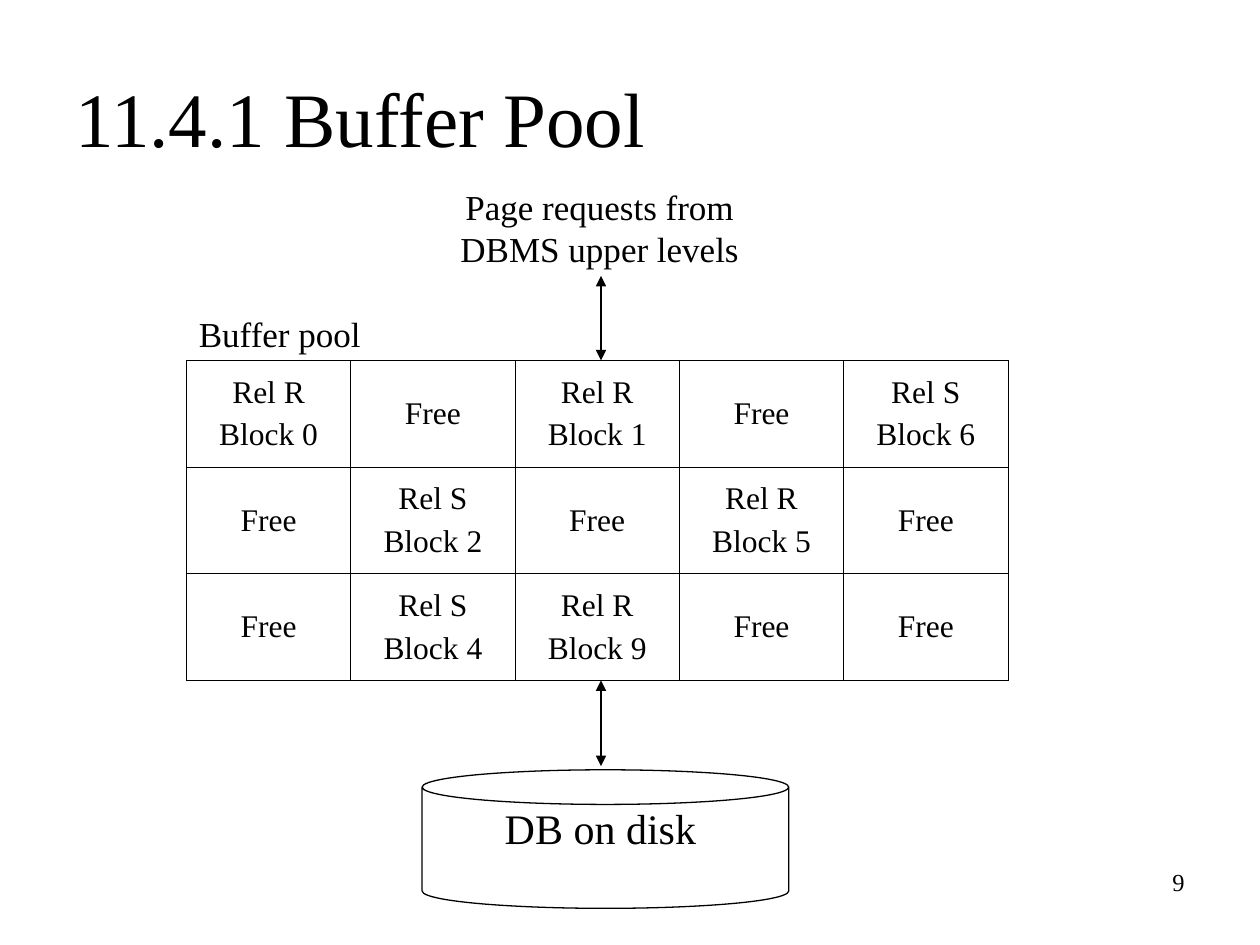
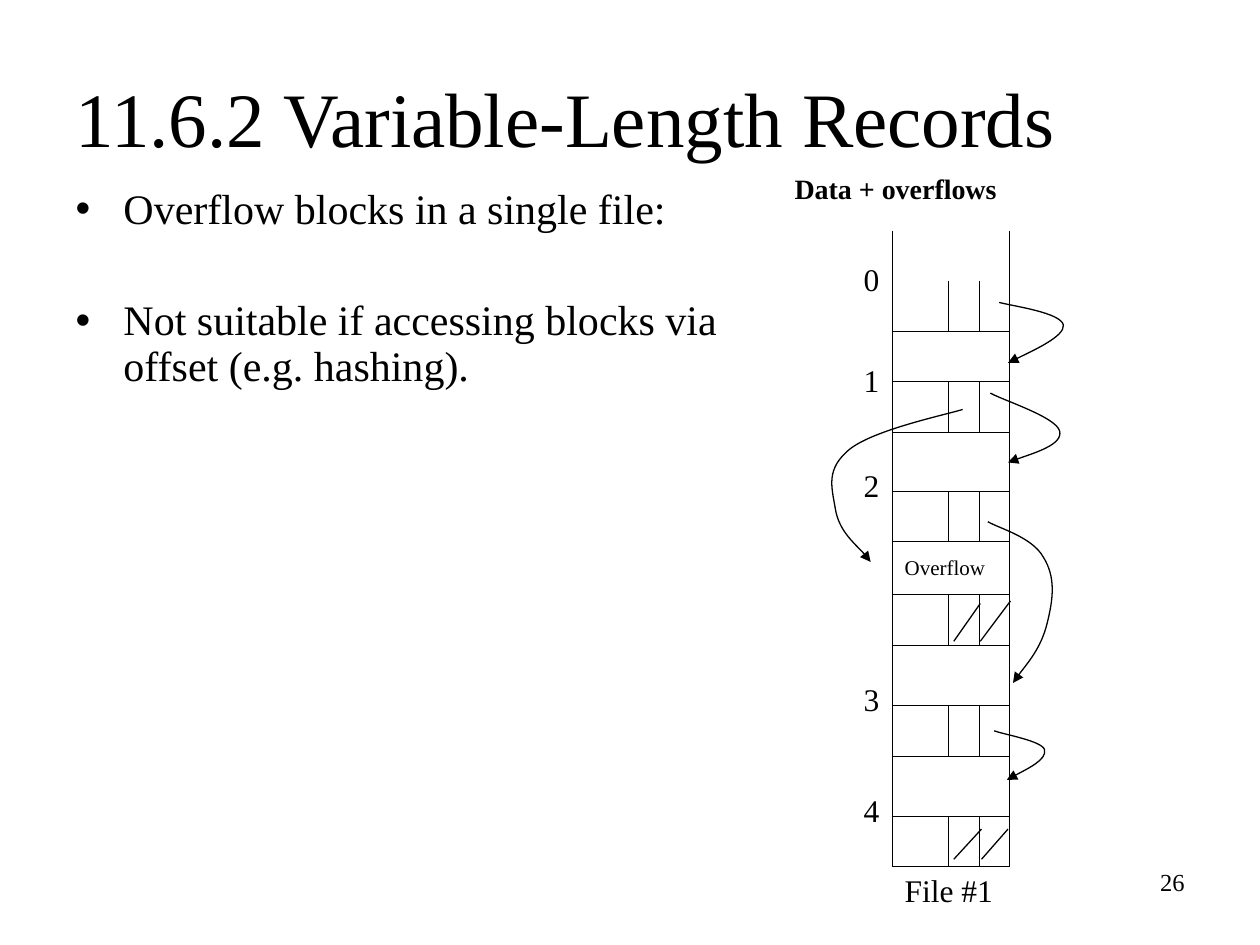
from collections import namedtuple
from lxml import etree
from pptx import Presentation
from pptx.dml.color import RGBColor
from pptx.enum.shapes import MSO_CONNECTOR, MSO_SHAPE
from pptx.enum.text import MSO_ANCHOR, MSO_AUTO_SIZE, PP_ALIGN
from pptx.oxml.ns import qn
from pptx.util import Inches, Pt

LEFT, CENTER, RIGHT = PP_ALIGN.LEFT, PP_ALIGN.CENTER, PP_ALIGN.RIGHT
MIDDLE, TOP = MSO_ANCHOR.MIDDLE, MSO_ANCHOR.TOP
NO_FIT = MSO_AUTO_SIZE.NONE
STRAIGHT = MSO_CONNECTOR.STRAIGHT
CAN = MSO_SHAPE.CAN

WIDTH, HEIGHT = Inches(10), Inches(7.5)
COL, ROW = WIDTH / 100, HEIGHT / 75
INK = "000000"
FONT = "Times New Roman"
PLAIN = "{2D5ABB26-0587-4C30-8999-92F81FD0307C}"

Box = namedtuple("Box", "x y w h")
TITLE = Box(5, 3, 90, 12.5)
NUMBER = Box(71.7, 68.3, 23.3, 5.2)
NOTES = Box(5, 14.4, 57.6, 47.5)
POOL = Box(14.8, 28.6, 65.2, 25.4)
DISK = Box(33.5, 61.1, 29.1, 11)
FILE = Box(61.8, 11.9, 18.3, 61)

BLOCKS = [
    ["Rel R\nBlock 0", "Free", "Rel R\nBlock 1", "Free", "Rel S\nBlock 6"],
    ["Free", "Rel S\nBlock 2", "Free", "Rel R\nBlock 5", "Free"],
    ["Free", "Rel S\nBlock 4", "Rel R\nBlock 9", "Free", "Free"],
]
FILE_COLS = [9, 4.5, 2.4, 2.4]
TAIL = 4
RECORDS = [("0", "", 4), ("1", "", 4), ("2", "", 4.7),
           ("", "Overflow", 4.2), ("3", "", 4.8), ("4", "", 4.8)]
LINKS = [
    [(17.5, 12.1), (18.6, 12.4), (22.4, 12.9), (22.6, 13.9),
     (22.7, 14.8), (19.2, 16.4), (18.2, 16.9)],
    [(16.8, 19.3), (17.9, 19.9), (22, 21.2), (22.3, 22.3),
     (22.6, 23.4), (19.2, 24.4), (18.2, 24.8)],
    [(16.6, 29.5), (17.4, 30), (20.1, 30.7), (21, 32.3), (22, 33.9),
     (21.8, 35.6), (21.3, 37.6), (20.8, 39.6), (19.1, 41.5), (18.6, 42.3)],
    [(17.1, 46.1), (17.9, 46.4), (20.9, 46.9), (21.1, 47.6),
     (21.3, 48.4), (18.8, 49.6), (18.1, 50)],
    [(14.6, 20.6), (12.9, 21.1), (7.7, 22.2), (5.7, 23.7), (3.7, 25.3),
     (4.2, 26.7), (4.5, 28.5), (4.8, 30.3), (6.8, 31.9), (7.3, 32.7)],
]
SLASHES = [((13.9, 39), (16, 36)), ((16, 39), (18.4, 35.8)),
           ((13.9, 56.3), (16.1, 53.9)), ((16.1, 56.3), (18.2, 53.9))]


def color(code):
    return RGBColor.from_string(code)


def place(box):
    return (round(box.x * COL), round(box.y * ROW),
            round(box.w * COL), round(box.h * ROW))


def inner(box, x, y, w, h):
    return Box(box.x + x, box.y + y, w, h)


def point(box, spot):
    return round((box.x + spot[0]) * COL), round((box.y + spot[1]) * ROW)


def style(frame, size, align, before=0, bold=False):
    for para in frame.paragraphs:
        para.alignment = align
        para.space_before = Pt(before)
        for run in para.runs:
            run.font.name = FONT
            run.font.size = Pt(size)
            run.font.bold = bold
            run.font.color.rgb = color(INK)


def label(slide, box, text, size, align):
    frame = slide.shapes.add_textbox(*place(box)).text_frame
    frame.word_wrap = True
    frame.text = text
    style(frame, size, align)


def move(holder, box):
    holder.left, holder.top, holder.width, holder.height = place(box)
    holder.text_frame.auto_size = NO_FIT


def stroke(shape, width, ends=()):
    shape.line.color.rgb = color(INK)
    shape.line.width = Pt(width)
    line = shape.element.spPr.find(qn("a:ln"))
    for end in ends:
        etree.SubElement(line, qn("a:" + end), type="triangle")


def link(slide, box, start, stop, width, ends=()):
    line = slide.shapes.add_connector(STRAIGHT, *point(box, start), *point(box, stop))
    stroke(line, width, ends)
    etree.SubElement(line.element.spPr, qn("a:effectLst"))


def curve(slide, box, spots):
    spots = [point(box, spot) for spot in spots]
    maker = slide.shapes.build_freeform(*spots[0])
    maker.add_line_segments(spots[1:], close=False)
    shape = maker.convert_to_shape()
    shape.shadow.inherit = False
    shape.fill.background()
    stroke(shape, 0.75, ["tailEnd"])
    track = next(shape.element.iter(qn("a:path")))
    steps = track.findall(qn("a:lnTo"))
    for i in range(0, len(steps), 3):
        bend = etree.SubElement(track, qn("a:cubicBezTo"))
        for step in steps[i:i + 3]:
            bend.append(step[0])
            track.remove(step)


def grid(slide, box, cols, rows):
    frame = slide.shapes.add_table(len(rows), len(cols), *place(box))
    table = frame.table
    table.first_row = table.horz_banding = False
    next(frame.element.iter(qn("a:tableStyleId"))).text = PLAIN
    for part, width in zip(table.columns, cols):
        part.width = round(width * COL)
    for part, height in zip(table.rows, rows):
        part.height = round(height * ROW)
    return table


def fill(cell, sides="", text="", size=18, align=LEFT, before=4.5, bold=False):
    props = cell._tc.get_or_add_tcPr()
    for side in "LRTB":
        if side in sides:
            line = etree.SubElement(props, qn("a:ln" + side), w=str(Pt(0.45)))
            paint = etree.SubElement(line, qn("a:solidFill"))
            etree.SubElement(paint, qn("a:srgbClr"), val=INK)
    cell.fill.background()
    cell.vertical_anchor = MIDDLE
    if text:
        cell.text_frame.text = text
        style(cell.text_frame, size, align, before, bold)
    else:
        cell.margin_top = cell.margin_bottom = 0


def base(deck, layout, title, number):
    slide = deck.slides.add_slide(deck.slide_layouts[layout])
    head = slide.shapes.title
    move(head, TITLE)
    head.text_frame.text = title
    head.text_frame.vertical_anchor = MIDDLE
    style(head.text_frame, 44, LEFT)
    label(slide, NUMBER, number, 14, RIGHT)
    return slide


def pool(slide, box):
    label(slide, inner(box, 17.5, -14.4, 30.6, 7.7),
          "Page requests from\nDBMS upper levels", 20, CENTER)
    label(slide, inner(box, 0, -4.3, 18, 4.4), "Buffer pool", 20, LEFT)
    count = len(BLOCKS)
    wide = len(BLOCKS[0])
    table = grid(slide, box, [box.w / wide] * wide, [box.h / count] * count)
    for r, row in enumerate(BLOCKS):
        for c, text in enumerate(row):
            fill(table.cell(r, c), "LRTB", text, align=CENTER)
    for top, end in ((-6.7, 0), (box.h, box.h + 6.8)):
        link(slide, box, (32.9, top), (32.9, end), 1, ["headEnd", "tailEnd"])


def disk(slide, box):
    can = slide.shapes.add_shape(CAN, *place(box))
    can.adjustments[0] = 0.25
    can.shadow.inherit = False
    can.fill.background()
    stroke(can, 0.75)
    label(slide, inner(box, 2.9, 2.1, 22.5, 5), "DB on disk", 24, CENTER)


def notes(slide, box):
    body = slide.placeholders[1]
    move(body, box)
    frame = body.text_frame
    frame.vertical_anchor = TOP
    frame.text = ("Overflow blocks in a single file:\n"
                  "Not suitable if accessing blocks via offset (e.g. hashing).")
    style(frame, 24, LEFT, 6)
    frame.paragraphs[1].space_before = Pt(38)
    for para in frame.paragraphs:
        para.line_spacing = 0.9
        props = para._p.get_or_add_pPr()
        props.set("marL", str(Inches(0.38)))
        props.set("indent", str(-Inches(0.38)))
        etree.SubElement(props, qn("a:buChar"), char="•")


def stack(slide, box):
    rows = [6.4]
    for *_, height in RECORDS:
        rows += [height, TAIL]
    rows.append(TAIL)
    table = grid(slide, box, FILE_COLS, rows)
    cell = table.cell
    last = len(rows) - 1
    cell(0, 0).merge(cell(0, 3))
    fill(cell(0, 0), "", "Data + overflows", 16, RIGHT, 4, True)
    for i, (tag, text, _) in enumerate(RECORDS):
        top = 1 + 2 * i
        cell(top, 0).merge(cell(top + 1, 0))
        cell(top, 1).merge(cell(top, 3))
        fill(cell(top, 0), "R", tag, align=RIGHT)
        fill(cell(top, 1), "LRT" if i else "LR", text, 12, before=3)
        for c in (1, 2, 3):
            fill(cell(top + 1, c), "LRB")
    cell(last, 1).merge(cell(last, 3))
    fill(cell(last, 0))
    fill(cell(last, 1), "T", "File #1")
    for spots in LINKS:
        curve(slide, box, spots)
    for start, stop in SLASHES:
        link(slide, box, start, stop, 0.75)


def main():
    deck = Presentation()
    deck.slide_width, deck.slide_height = WIDTH, HEIGHT
    first = base(deck, 5, "11.4.1 Buffer Pool", "9")
    pool(first, POOL)
    disk(first, DISK)
    second = base(deck, 1, "11.6.2 Variable-Length Records", "26")
    notes(second, NOTES)
    stack(second, FILE)
    deck.save("out.pptx")


if __name__ == "__main__":
    main()
